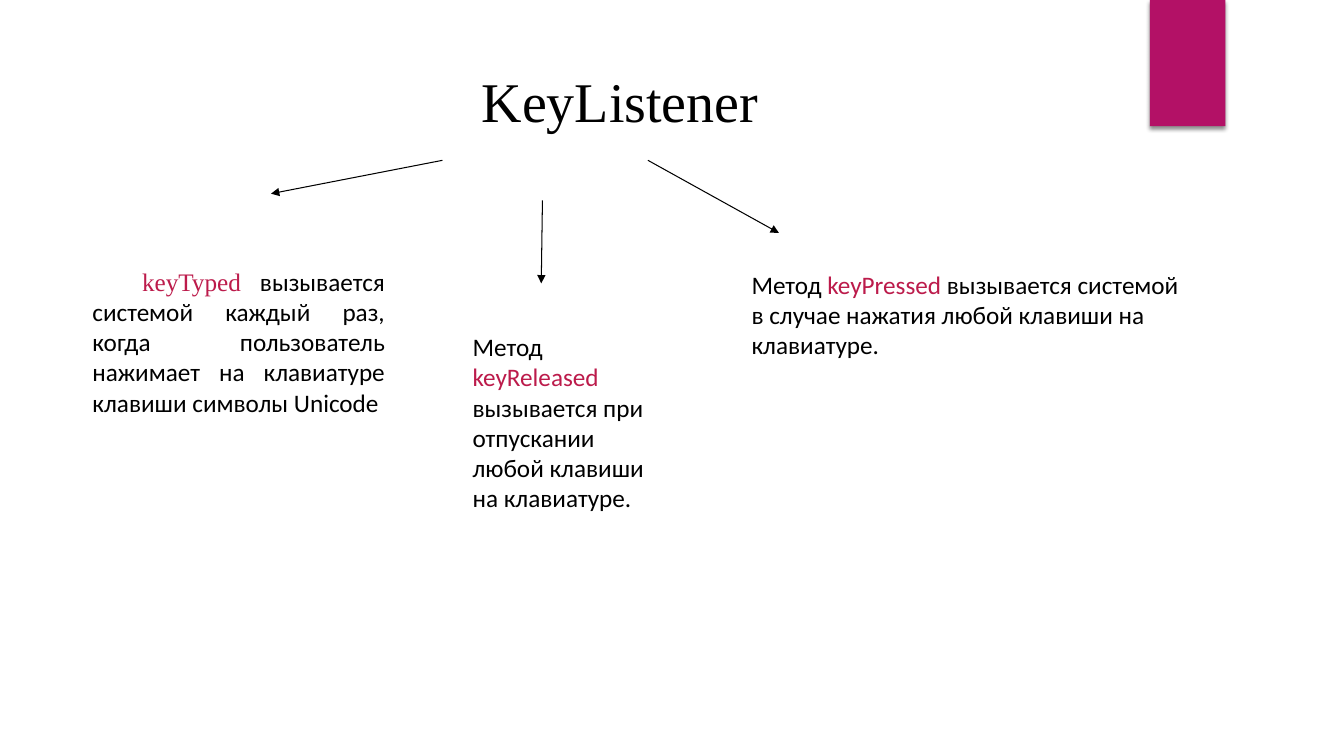
from dataclasses import dataclass

from lxml.etree import SubElement
from pptx import Presentation
from pptx.dml.color import RGBColor
from pptx.enum.shapes import MSO_CONNECTOR, MSO_SHAPE
from pptx.enum.text import MSO_AUTO_SIZE, PP_ALIGN
from pptx.oxml import parse_xml
from pptx.oxml.ns import nsdecls, qn
from pptx.util import Cm, Pt


@dataclass(frozen=True)
class Theme:
    ink: RGBColor = RGBColor.from_string("000000")
    method: RGBColor = RGBColor.from_string("BC1B4B")
    ribbon: RGBColor = RGBColor.from_string("B31166")
    serif: str = "Times New Roman"
    sans: str = "Calibri"
    title_size: Pt = Pt(40)
    body_size: Pt = Pt(18)
    arrow_width: Pt = Pt(0.75)


theme = Theme()


def add_text(runs, box, size=theme.body_size, align=None, indent=None):
    """Add a text box; runs are (text, font, colour), box is in centimetres."""
    frame = slide.shapes.add_textbox(*map(Cm, box)).text_frame
    frame.word_wrap = True
    frame.auto_size = MSO_AUTO_SIZE.SHAPE_TO_FIT_TEXT
    paragraph = frame.paragraphs[0]
    paragraph.alignment = align
    if indent:
        paragraph._p.get_or_add_pPr().set("indent", str(Cm(indent)))
    for text, font, colour in runs:
        run = paragraph.add_run()
        run.text = text
        run.font.name = font
        run.font.size = size
        run.font.color.rgb = colour


prs = Presentation()
prs.slide_width, prs.slide_height = Cm(33.87), Cm(19.05)
slide = prs.slides.add_slide(prs.slide_layouts[6])

# Corner ribbon with a soft shadow below it
ribbon = slide.shapes.add_shape(
    MSO_SHAPE.RECTANGLE, Cm(28.98), Cm(0), Cm(1.9), Cm(3.18))
ribbon.fill.solid()
ribbon.fill.fore_color.rgb = theme.ribbon
ribbon.line.fill.background()
ribbon._element.spPr.append(parse_xml(
    f'<a:effectLst {nsdecls("a")}>'
    f'<a:outerShdw blurRad="{Pt(3)}" dist="{Pt(2)}" dir="5400000" rotWithShape="0">'
    f'<a:srgbClr val="{theme.ink}"><a:alpha val="45000"/></a:srgbClr>'
    '</a:outerShdw></a:effectLst>'))

add_text([("KeyListener", theme.serif, theme.ink)],
         (11.89, 1.55, 8.36, 1.96), size=theme.title_size)

# Arrows from the interface to its three methods
for ends in [(11.15, 4.04, 6.83, 4.88),
             (13.67, 5.05, 13.64, 7.14),
             (16.33, 4.04, 19.63, 5.87)]:
    arrow = slide.shapes.add_connector(MSO_CONNECTOR.STRAIGHT, *map(Cm, ends))
    arrow.line.color.rgb = theme.ink
    arrow.line.width = theme.arrow_width
    SubElement(arrow.line._get_or_add_ln(), qn("a:tailEnd"), type="triangle")
    SubElement(arrow._element.spPr, qn("a:effectLst"))

add_text([("keyTyped ", theme.serif, theme.method),
          ("вызывается системой каждый раз, когда пользователь нажимает "
           "на клавиатуре клавиши символы Unicode", theme.sans, theme.ink)],
         (2.08, 6.58, 7.87, 4.11), align=PP_ALIGN.JUSTIFY, indent=1.25)

for method, action, box in [
    ("keyPressed", "вызывается системой в случае нажатия", (18.69, 6.65, 11.46, 2.57)),
    ("keyReleased", "вызывается при отпускании", (11.66, 8.23, 5.26, 4.88)),
]:
    add_text([("Метод ", theme.sans, theme.ink),
              (method, theme.sans, theme.method),
              (f" {action} любой клавиши на клавиатуре.", theme.sans, theme.ink)],
             box)

prs.save("out.pptx")
